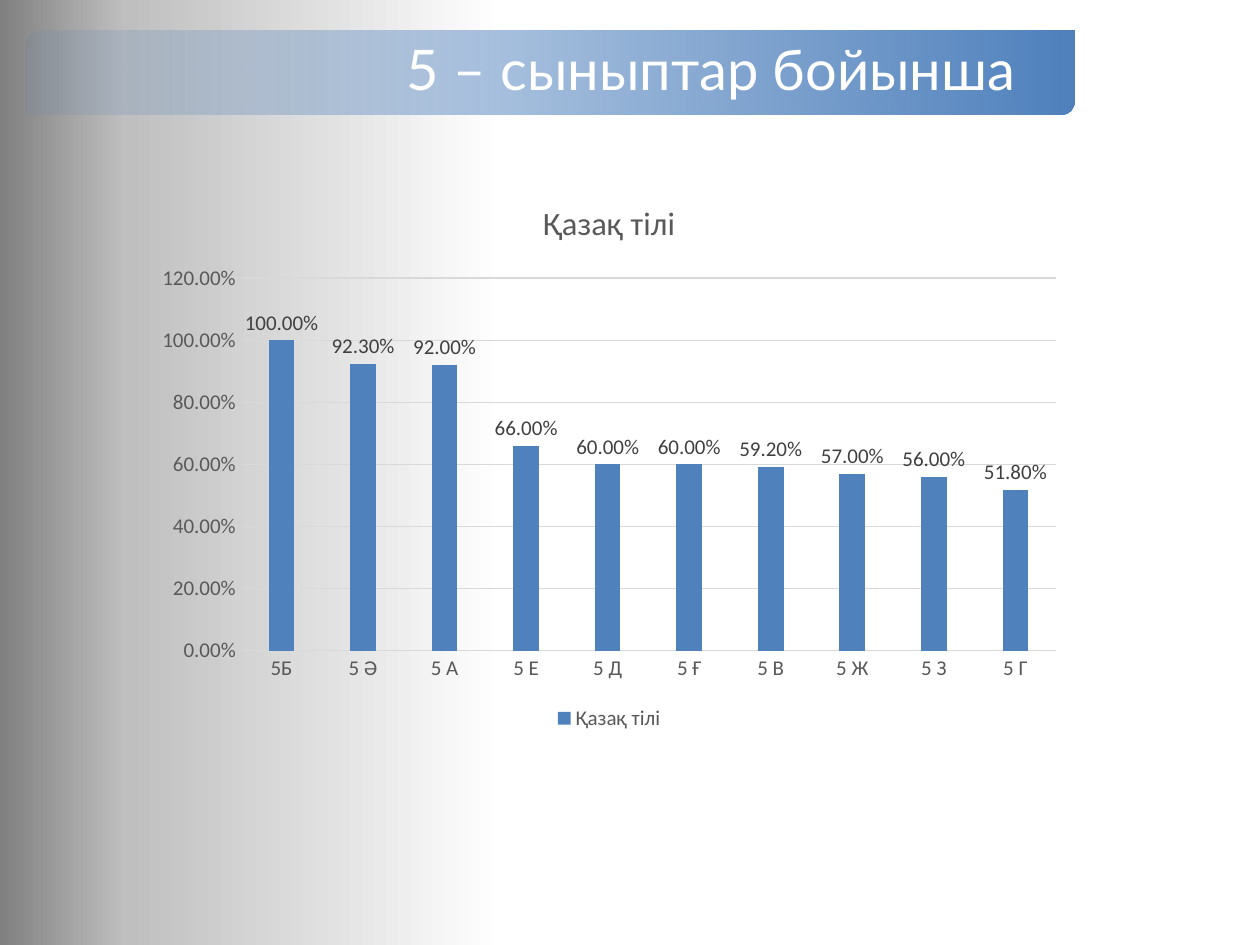
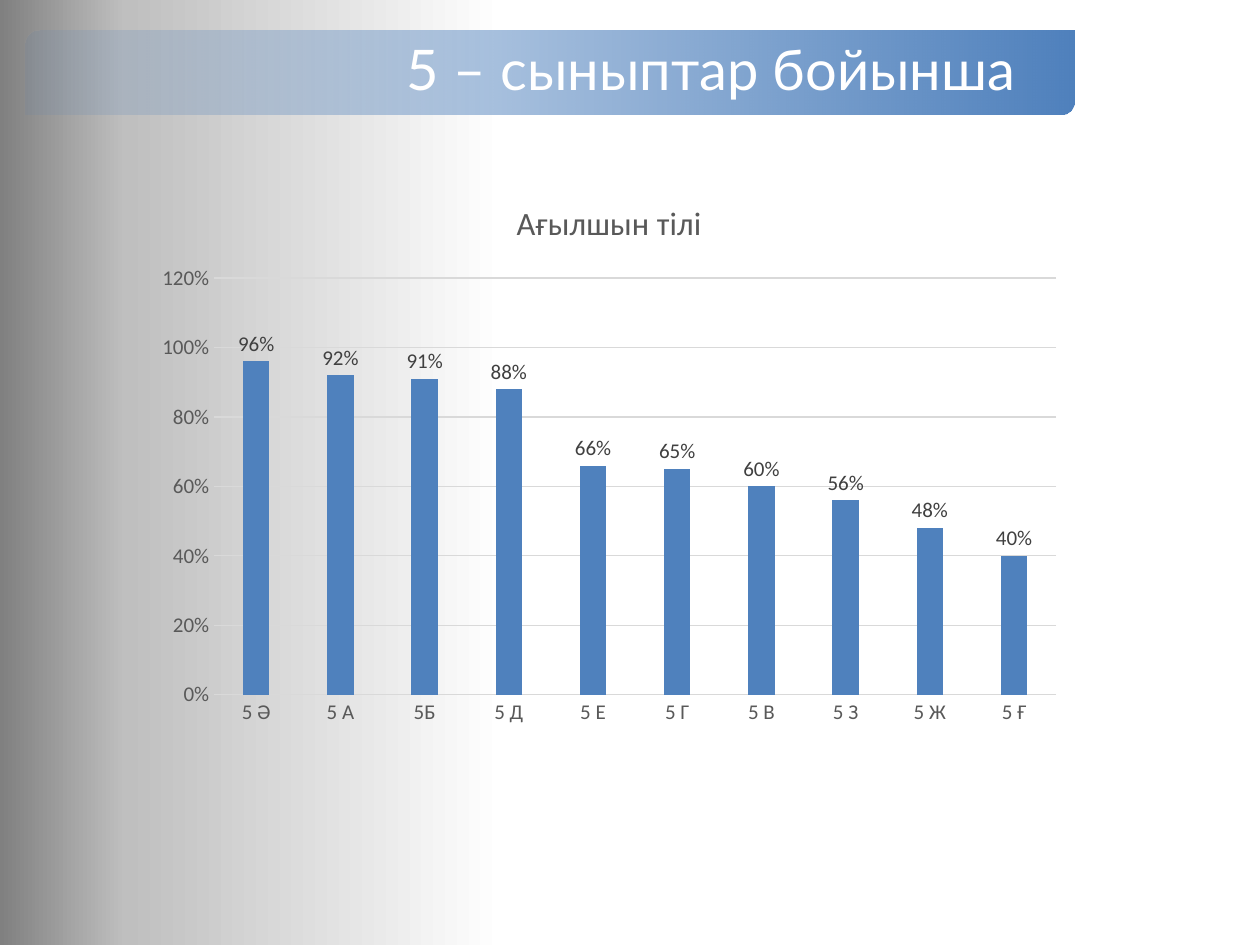
import pptx
import pptx.util
import pptx.chart.data
import pptx.dml.color
import pptx.enum.chart
import pptx.enum.shapes
import pptx.enum.text
import pptx.oxml
import pptx.oxml.ns
import lxml.etree

Inches = pptx.util.Inches
Pt = pptx.util.Pt
RGB = pptx.dml.color.RGBColor.from_string
chart_enum = pptx.enum.chart
text_enum = pptx.enum.text
qn = pptx.oxml.ns.qn

colors = {
    "white": "FFFFFF",
    "silver": "BFBFBF",
    "gray": "808080",
    "blue": "4F81BD",
    "grid": "D9D9D9",
    "axis_text": "595959",
    "label_text": "404040",
}


def format_font(font, size, color, name="Calibri"):
    values = {"size": Pt(size), "name": name, "bold": False}
    for key, value in values.items():
        setattr(font, key, value)
    font.color.rgb = RGB(colors[color])


def set_gradient(fill, stops, angle):
    fill.gradient()
    fill.gradient_angle = angle
    stop_list = fill.gradient_stops[0]._gs.getparent()
    for stop in list(stop_list):
        stop_list.remove(stop)
    for position, color, opacity in stops:
        stop = lxml.etree.SubElement(stop_list, qn("a:gs"), pos=str(position * 1000))
        color_element = lxml.etree.SubElement(stop, qn("a:srgbClr"), val=colors[color])
        if opacity < 100:
            lxml.etree.SubElement(color_element, qn("a:alpha"), val=str(opacity * 1000))


subjects = [
    {
        "title": "Қазақ тілі",
        "series": "Қазақ тілі",
        "format": "0.00%",
        "legend": True,
        "results": {
            "5Б": 1, "5 Ә": 0.923, "5 А": 0.92, "5 Е": 0.66, "5 Д": 0.6,
            "5 Ғ": 0.6, "5 В": 0.592, "5 Ж": 0.57, "5 З": 0.56, "5 Г": 0.518,
        },
    },
    {
        "title": "Ағылшын тілі",
        "series": "Series 1",
        "format": "0%",
        "legend": False,
        "results": {
            "5 Ә": 0.96, "5 А": 0.92, "5Б": 0.91, "5 Д": 0.88, "5 Е": 0.66,
            "5 Г": 0.65, "5 В": 0.6, "5 З": 0.56, "5 Ж": 0.48, "5 Ғ": 0.4,
        },
    },
]

band_box = [Inches(length) for length in (0.2, 0.24, 8.33, 0.67)]
chart_box = [Inches(length) for length in (1.14, 1.4, 7.39, 4.44)]
title_frame_format = {
    "margin_left": Inches(3.03),
    "margin_top": Inches(0.17),
    "margin_right": Inches(0.17),
    "margin_bottom": Inches(0.17),
    "vertical_anchor": text_enum.MSO_ANCHOR.MIDDLE,
    "auto_size": text_enum.MSO_AUTO_SIZE.NONE,
    "word_wrap": True,
}
value_axis_format = {
    "minimum_scale": 0,
    "maximum_scale": 1.2,
    "major_unit": 0.2,
    "has_major_gridlines": True,
}

presentation = pptx.Presentation()
presentation.slide_width = Inches(10)
presentation.slide_height = Inches(7.5)
set_gradient(
    presentation.slide_master.background.fill,
    [(60, "white", 100), (90, "silver", 100), (100, "gray", 100)],
    180,
)

for subject in subjects:
    slide = presentation.slides.add_slide(presentation.slide_layouts[5])

    band = slide.shapes.add_shape(
        pptx.enum.shapes.MSO_SHAPE.ROUND_2_DIAG_RECTANGLE, *band_box
    )
    band.shadow.inherit = False
    band.line.fill.background()
    set_gradient(band.fill, [(0, "blue", 10), (100, "blue", 100)], 0)

    title = slide.shapes.title
    for key, value in zip(("left", "top", "width", "height"), band_box):
        setattr(title, key, value)
    for key, value in title_frame_format.items():
        setattr(title.text_frame, key, value)
    title.text_frame.text = "5 – сыныптар бойынша"
    paragraph = title.text_frame.paragraphs[0]
    paragraph.alignment = text_enum.PP_ALIGN.LEFT
    paragraph.line_spacing = 0.9
    format_font(paragraph.runs[0].font, 32, "white", "Lato")
    slide.shapes._spTree.append(title._element)

    chart_data = pptx.chart.data.CategoryChartData(number_format=subject["format"])
    chart_data.categories = list(subject["results"])
    chart_data.add_series(subject["series"], list(subject["results"].values()))
    chart = slide.shapes.add_chart(
        chart_enum.XL_CHART_TYPE.COLUMN_CLUSTERED, *chart_box, chart_data
    ).chart
    format_font(chart.font, 12, "axis_text")

    chart.has_title = True
    chart.chart_title.include_in_layout = False
    chart.chart_title.text_frame.text = subject["title"]
    heading = chart.chart_title.text_frame.paragraphs[0].runs[0]
    format_font(heading.font, 18.6, "axis_text")

    chart.has_legend = subject["legend"]
    if subject["legend"]:
        chart.legend.position = chart_enum.XL_LEGEND_POSITION.BOTTOM
        chart.legend.include_in_layout = False
        format_font(chart.legend.font, 12, "axis_text")

    for key, value in value_axis_format.items():
        setattr(chart.value_axis, key, value)
    for axis in (chart.category_axis, chart.value_axis):
        axis.major_tick_mark = chart_enum.XL_TICK_MARK.NONE
        axis.minor_tick_mark = chart_enum.XL_TICK_MARK.NONE
        format_font(axis.tick_labels.font, 12, "axis_text")
    chart.value_axis.tick_labels.number_format = subject["format"]
    chart.value_axis.tick_labels.number_format_is_linked = False
    chart.value_axis.format.line.fill.background()
    for line in (
        chart.category_axis.format.line,
        chart.value_axis.major_gridlines.format.line,
    ):
        line.color.rgb = RGB(colors["grid"])
        line.width = Pt(0.75)

    plot = chart.plots[0]
    plot.gap_width = 219
    plot.overlap = -27
    plot.vary_by_categories = False
    series = plot.series[0]
    series.format.fill.solid()
    series.format.fill.fore_color.rgb = RGB(colors["blue"])
    labels_format = {
        "show_value": True,
        "number_format": subject["format"],
        "number_format_is_linked": False,
        "position": chart_enum.XL_LABEL_POSITION.OUTSIDE_END,
    }
    for key, value in labels_format.items():
        setattr(series.data_labels, key, value)
    format_font(series.data_labels.font, 12, "label_text")

presentation.save("out.pptx")
